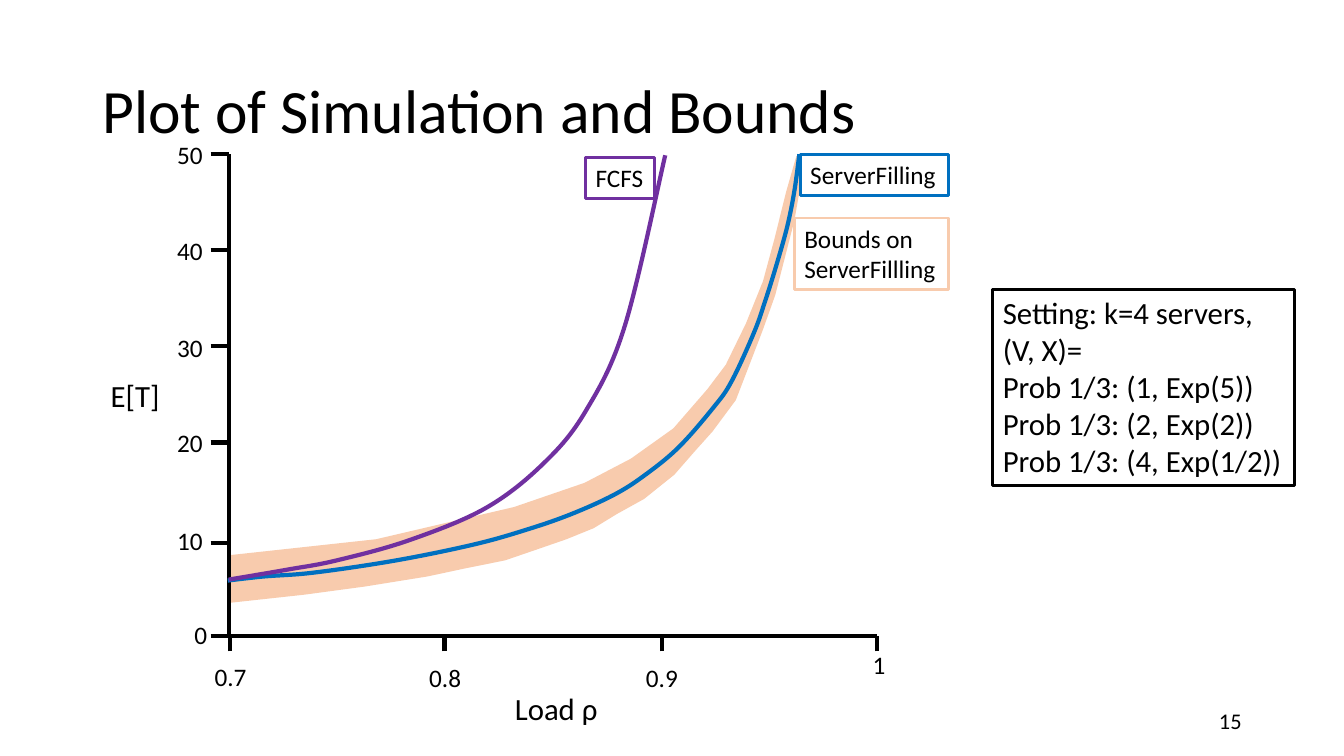
from pptx import Presentation
from pptx.dml.color import RGBColor
from pptx.enum.shapes import MSO_CONNECTOR, MSO_SHAPE
from pptx.enum.text import MSO_ANCHOR as ANCHOR, PP_ALIGN as ALIGN
from pptx.oxml.ns import qn
from pptx.util import Pt
from lxml import etree

BLACK = RGBColor(0x00, 0x00, 0x00)
WHITE = RGBColor(0xFF, 0xFF, 0xFF)
PEACH = RGBColor(0xF8, 0xCB, 0xAD)
BLUE = RGBColor(0x00, 0x70, 0xC0)
PURPLE = RGBColor(0x70, 0x30, 0xA0)

prs = Presentation()
prs.slide_width, prs.slide_height = Pt(960), Pt(540)
s = prs.slides.add_slide(prs.slide_layouts[6])


def add_text(text, x, y, w, h, size, line=None, fill=None,
             anchor=ANCHOR.TOP, align=ALIGN.LEFT):
    box = Pt(x), Pt(y), Pt(w), Pt(h)
    if line is None:
        sp = s.shapes.add_textbox(*box)
    else:
        sp = s.shapes.add_shape(MSO_SHAPE.RECTANGLE, *box)
        sp.shadow.inherit = False
        sp.line.color.rgb = line
        sp.line.width = Pt(2)
        if fill is None:
            sp.fill.background()
        else:
            sp.fill.solid()
            sp.fill.fore_color.rgb = fill
    tf = sp.text_frame
    tf.word_wrap = True
    tf.vertical_anchor = anchor
    tf.text = text
    for p in tf.paragraphs:
        p.alignment = align
        for r in p.runs:
            r.font.name = "Calibri"
            r.font.size = Pt(size)
            r.font.color.rgb = BLACK
    return sp


def add_outline(points, close):
    pts = [(Pt(x), Pt(y)) for x, y in points]
    fb = s.shapes.build_freeform(*pts[0], scale=1.0)
    fb.add_line_segments(pts[1:], close=close)
    sp = fb.convert_to_shape()
    sp.shadow.inherit = False
    return sp


upper_bound = [
    (162.7, 396.7), (268.6, 385.2), (367.2, 362.2), (417.6, 344.9),
    (450.7, 327.6), (481, 306), (505.4, 277.9), (518.4, 260.6),
    (532.8, 231.1), (545, 200.9), (553, 171.4), (561.6, 136.8),
    (568.8, 111.6),
]
lower_bound = [
    (164.2, 430.6), (217.4, 424.8), (260.6, 419), (305.3, 411.8),
    (331.9, 406.1), (360.7, 400.3), (383.8, 392.4), (404.6, 385.2),
    (424.1, 377.3), (440.6, 367.2), (460.1, 356.4), (481.7, 339.1),
    (496.1, 322.6), (509, 308.2), (525.6, 285.8), (536.4, 257.8),
    (545, 235.4), (553.7, 211), (560.2, 185.8), (567.4, 157.7),
    (571.7, 133.2), (574.6, 112.3),
]
band = add_outline(upper_bound + lower_bound[::-1], True)
band.fill.solid()
band.fill.fore_color.rgb = PEACH
band.line.fill.background()
add_text("Bounds on ServerFillling", 567.4, 155.8, 110, 50.9, 18, PEACH)

title = add_text("Plot of Simulation and Bounds", 66, 28.75, 828, 104.4, 44,
                 anchor=ANCHOR.MIDDLE)
title.text_frame.paragraphs[0].line_spacing = 0.9
add_text("15", 678, 500.5, 216, 28.75, 16, anchor=ANCHOR.MIDDLE,
         align=ALIGN.RIGHT)

left, right, top, bottom = 163.4, 626.4, 110.2, 454.3
lines = [(left, bottom, right, bottom), (left, bottom, left, top)]
y_ticks = [("0", bottom, 438.9), ("10", 388.1, 371.5), ("20", 316.1, 301.7),
           ("30", 247, 234), ("40", 178.6, 164.6), ("50", top, 95.8)]
for label, y, label_y in y_ticks:
    lines.append((left - 13, y, left, y))
    add_text(label, 131.8 if label == "0" else 119.5, label_y, 38.2, 29, 18)

x_ticks = [("0.7", 164.5, 146.2, 469.1, 38.2),
           ("0.8", 317.5, 299.5, 469.4, 38.2),
           ("0.9", 473, 454.3, 469.4, 38.2),
           ("1", right, 616.3, 460.1, 21)]
for label, tick_x, x, y, w in x_ticks:
    lines.append((tick_x, bottom + 11, tick_x, bottom))
    add_text(label, x, y, w, 29, 18)

for x1, y1, x2, y2 in lines:
    c = s.shapes.add_connector(MSO_CONNECTOR.STRAIGHT,
                               Pt(x1), Pt(y1), Pt(x2), Pt(y2))
    c.line.color.rgb = BLACK
    c.line.width = Pt(3)
    etree.SubElement(c._element.spPr, qn("a:effectLst"))

add_text("E[T]", 72, 265.7, 53.3, 33.8, 22)
add_text("Load ρ", 360.7, 489.3, 81.4, 33.8, 22)

server_filling = [
    (162.7, 414.7), (188.6, 411.8), (224.6, 409), (283, 400.3),
    (339.1, 388.8), (377.3, 378), (408.2, 367.2), (438.5, 353.5),
    (460.1, 339.8), (484.6, 319.7), (509.8, 290.9), (522.7, 272.2),
    (538.6, 237.6), (546.5, 215.3), (554.4, 190.1), (562.3, 162),
    (567.4, 136.8), (571, 110.2),
]
fcfs = [
    (163.4, 414), (205.9, 406.8), (240.5, 400.3), (292.3, 385.9),
    (347, 362.9), (388.1, 331.2), (418.3, 293.8), (446.4, 232.6),
    (475.2, 110.9),
]
curves = [
    (server_filling, BLUE, "ServerFilling", (571.7, 110.5, 105.8, 29), WHITE),
    (fcfs, PURPLE, "FCFS", (418.3, 112.6, 49.4, 29), None),
]
for knots, color, label, box, fill in curves:
    sp = add_outline(knots, False)
    sp.fill.background()
    sp.line.color.rgb = color
    sp.line.width = Pt(3)
    nodes = list(sp._element.iter(qn("a:pt")))
    pts = [(int(n.get("x")), int(n.get("y"))) for n in nodes]
    ends = [pts[0]] + pts + [pts[-1]]
    for i, n in enumerate(nodes[1:]):
        a, b, c, d = ends[i:i + 4]
        segment = n.getparent()
        bezier = etree.Element(qn("a:cubicBezTo"))
        controls = [[q + (r - p) / 6 for p, q, r in zip(a, b, c)],
                    [r - (u - q) / 6 for q, r, u in zip(b, c, d)], c]
        for x, y in controls:
            etree.SubElement(bezier, qn("a:pt"),
                             x=str(round(x)), y=str(round(y)))
        segment.getparent().replace(segment, bezier)
    add_text(label, *box, 18, color, fill)

setting = ["Setting: k=4 servers, (V, X)=", "Prob 1/3: (1, Exp(5))",
           "Prob 1/3: (2, Exp(2))", "Prob 1/3: (4, Exp(1/2))"]
add_text("\n".join(setting), 709.2, 206.6, 215.7, 140.4, 22, BLACK)

prs.save("out.pptx")
